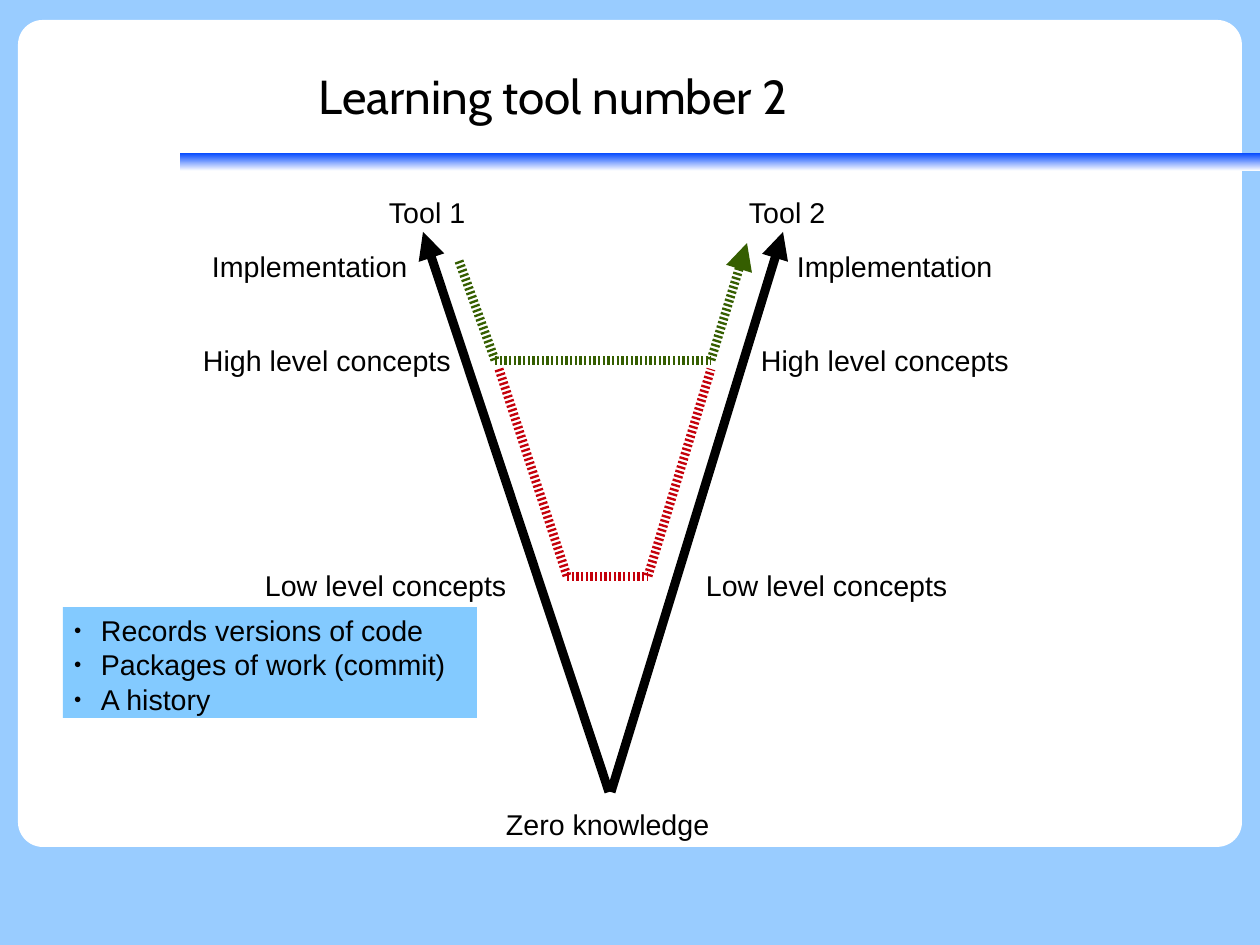
from dataclasses import dataclass
from itertools import pairwise

from lxml.etree import SubElement
from pptx import Presentation
from pptx.dml.color import RGBColor
from pptx.enum.shapes import MSO_CONNECTOR, MSO_SHAPE
from pptx.enum.text import MSO_ANCHOR, MSO_AUTO_SIZE, PP_ALIGN
from pptx.oxml.ns import qn
from pptx.util import Emu, Pt


@dataclass(frozen=True)
class Theme:
    """Colours, fonts and sizes of the slide."""
    sky: str = "99CCFF"
    panel: str = "FFFFFF"
    bar: str = "0047FF"
    note: str = "83CAFF"
    ink: str = "000000"
    green: str = "355E00"
    red: str = "C5000B"
    title_font: str = "Cabin"
    body_font: str = "Arial"
    title_size: int = 30
    body_size: int = 18
    stroke: float = 5.67


T = Theme()
INSETS = (11, 6, 11, 6)


def px(n):
    """Turn px into EMU."""
    return Emu(n * 8000)


def rgb(value):
    """Turn a hex string into a colour."""
    return RGBColor.from_string(value)


def add(parent, tag, **attrs):
    """Append a drawing element with attributes."""
    return SubElement(parent, qn(tag), attrs)


def add_block(s, shape, box, fill):
    """Add a filled preset shape without outline or shadow."""
    sp = s.shapes.add_shape(shape, *map(px, box))
    sp.shadow.inherit = False
    sp.line.fill.background()
    sp.fill.solid()
    sp.fill.fore_color.rgb = rgb(fill)
    return sp


def set_frame(tf, insets, **formats):
    """Set the insets and format values of a text frame."""
    sides = ("left", "top", "right", "bottom")
    margins = {f"margin_{side}": px(n) for side, n in zip(sides, insets)}
    for name, value in (margins | formats).items():
        setattr(tf, name, value)


def write(p, text, font=T.body_font, size=T.body_size):
    """Write one run into a paragraph."""
    r = p.add_run()
    r.text = text
    for name, value in {"name": font, "size": Pt(size)}.items():
        setattr(r.font, name, value)
    r.font.color.rgb = rgb(T.ink)


def add_label(s, box, text):
    """Add a one-line label."""
    tf = s.shapes.add_textbox(*map(px, box)).text_frame
    set_frame(tf, INSETS, word_wrap=False, auto_size=MSO_AUTO_SIZE.SHAPE_TO_FIT_TEXT)
    write(tf.paragraphs[0], text)


def add_path(s, origin, points, color, dashed=False, arrow=False):
    """Join points with straight lines, with an arrowhead on the last."""
    x, y = origin
    legs = list(pairwise(points))
    for i, ((x1, y1), (x2, y2)) in enumerate(legs, 1):
        c = s.shapes.add_connector(
            MSO_CONNECTOR.STRAIGHT, px(x + x1), px(y + y1), px(x + x2), px(y + y2))
        c.line.color.rgb = rgb(color)
        c.line.width = Pt(T.stroke)
        ln = c.line._get_or_add_ln()
        if dashed:
            add(add(ln, "a:custDash"), "a:ds", d="26000", sp="26000")
        if arrow and i == len(legs):
            add(ln, "a:tailEnd", type="triangle", w="med", len="med")
        add(c._element.spPr, "a:effectLst")


def add_backdrop(s, box):
    """Draw the sky, the white panel and the gradient bar."""
    x, y, w, h = box
    s.background.fill.solid()
    s.background.fill.fore_color.rgb = rgb(T.sky)
    panel = add_block(s, MSO_SHAPE.ROUNDED_RECTANGLE,
                      (x + 18, y + 20, w - 36, h - 118), T.panel)
    panel.adjustments[0] = 0.03
    bar = add_block(s, MSO_SHAPE.RECTANGLE, (x + 180, y + 153, w - 180, 18), T.bar)
    bar.fill.gradient()
    bar.fill.gradient_angle = 270
    for stop, color in zip(bar.fill.gradient_stops, (T.bar, T.panel)):
        stop.color.rgb = rgb(color)


def add_title(s, box, text):
    """Write the centred title."""
    tf = s.shapes.add_textbox(*map(px, box)).text_frame
    set_frame(tf, (0, 0, 0, 0), word_wrap=True, vertical_anchor=MSO_ANCHOR.MIDDLE)
    p = tf.paragraphs[0]
    p.alignment = PP_ALIGN.CENTER
    write(p, text, T.title_font, T.title_size)


def add_diagram(s, box):
    """Draw the two tool ladders, their labels and the paths between them."""
    x, y, w, h = box
    levels = [
        (("Tool 1", "Tool 2"), (186, 546), 0, 102),
        (("Implementation",) * 2, (9, 594), 54, 220),
        (("High level concepts",) * 2, (0, 558), 148, 273),
        (("Low level concepts",) * 2, (62, 503), 373, 266),
        (("Zero knowledge",), (303,), h - 43, 228),
    ]
    for texts, lefts, top, width in levels:
        for text, left in zip(texts, lefts):
            add_label(s, (x + left, y + top, width, 43), text)
    for ladder in ([(419, 603), (591, 43)], [(417, 603), (231, 43)]):
        add_path(s, (x, y), ladder, T.ink, arrow=True)
    high_path = [(267, 72), (303, 171), (519, 171), (555, 54)]
    low_path = [(307, 180), (375, 387), (456, 387), (519, 180)]
    add_path(s, (x, y), high_path, T.green, dashed=True, arrow=True)
    add_path(s, (x, y), low_path, T.red, dashed=True)


def add_notes_box(s, box, items):
    """Draw the blue box with its bulleted list."""
    tf = add_block(s, MSO_SHAPE.RECTANGLE, box, T.note).text_frame
    set_frame(tf, INSETS, word_wrap=True, vertical_anchor=MSO_ANCHOR.TOP)
    for i, item in enumerate(items):
        p = tf.add_paragraph() if i else tf.paragraphs[0]
        p.alignment = PP_ALIGN.LEFT
        pPr = p._p.get_or_add_pPr()
        for name, value in {"marL": px(27), "indent": px(-27)}.items():
            pPr.set(name, str(int(value)))
        add(add(pPr, "a:buClr"), "a:srgbClr", val=T.ink)
        add(pPr, "a:buSzPct", val="45000")
        add(pPr, "a:buFont", typeface=T.body_font)
        add(pPr, "a:buChar", char="●")
        write(p, item)


def main():
    """Build and save the slide."""
    prs = Presentation()
    prs.slide_width, prs.slide_height = px(1260), px(945)
    s = prs.slides.add_slide(prs.slide_layouts[6])
    add_backdrop(s, (0, 0, 1260, 945))
    add_title(s, (63, 38, 981, 115), "Learning tool number 2")
    add_diagram(s, (192, 189, 829, 655))
    add_notes_box(s, (63, 607, 414, 111),
                  ["Records versions of code", "Packages of work (commit)", "A history"])
    prs.save("out.pptx")


if __name__ == "__main__":
    main()
